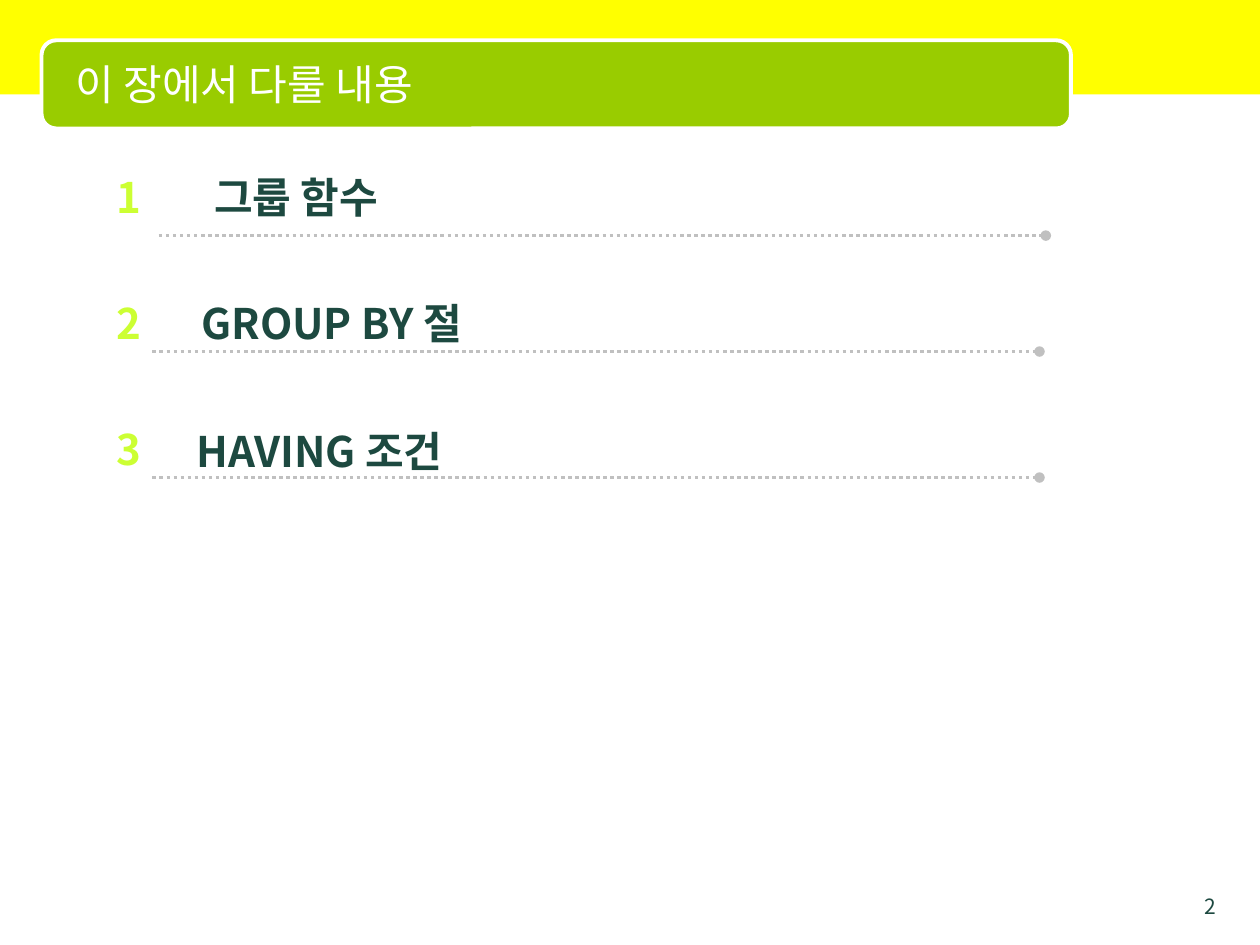
from dataclasses import dataclass
from lxml.etree import SubElement as Sub
from pptx import Presentation
from pptx.dml.color import RGBColor as Rgb
from pptx.enum.dml import MSO_LINE as Dash
from pptx.enum.shapes import MSO_CONNECTOR as Conn, MSO_SHAPE as Kind
from pptx.enum.text import MSO_ANCHOR as Anchor, PP_ALIGN as Align
from pptx.oxml.ns import qn
from pptx.util import Inches, Pt


@dataclass(frozen=True)
class Theme:
    """Colours, font and type sizes of the slide."""
    band: str = "FFFF00"
    bar: str = "99CC00"
    white: str = "FFFFFF"
    ink: str = "1D4940"
    lime: str = "CCFF33"
    rule: str = "C0C0C0"
    font: str = "Noto Sans CJK KR"
    head: int = 24
    foot: int = 12


LOOK = Theme()


def add_text(slide, box, text, color, size=LOOK.head, bold=False,
             align=Align.LEFT, anchor=Anchor.TOP):
    """Place one line of text in a box."""
    frame = slide.shapes.add_textbox(*map(Inches, box)).text_frame
    frame.word_wrap = True
    frame.vertical_anchor = anchor
    frame.text = text
    para = frame.paragraphs[0]
    para.alignment = align
    for run in para.runs:
        font = run.font
        font.name, font.size, font.bold = LOOK.font, Pt(size), bold
        font.color.rgb = Rgb.from_string(color)
        Sub(font._element, qn("a:ea"), typeface=LOOK.font)


def add_panel(slide, kind, box, fill):
    """Place a flat filled shape."""
    panel = slide.shapes.add_shape(kind, *map(Inches, box))
    panel.shadow.inherit = False
    panel.fill.solid()
    panel.fill.fore_color.rgb = Rgb.from_string(fill)
    panel.line.fill.background()
    return panel


def add_rule(slide, left, top, width):
    """Draw a dotted rule that ends in a dot."""
    ends = map(Inches, (left, top, left + width, top))
    rule = slide.shapes.add_connector(Conn.STRAIGHT, *ends)
    rule.line.color.rgb = Rgb.from_string(LOOK.rule)
    rule.line.width = Pt(2)
    rule.line.dash_style = Dash.ROUND_DOT
    props = rule._element.spPr
    Sub(props.find(qn("a:ln")), qn("a:tailEnd"), type="oval")
    Sub(props, qn("a:effectLst"))


def add_header(slide, left, top, width, height, title):
    """Build the band and the title bar that overlaps it."""
    add_panel(slide, Kind.RECTANGLE, (left, top, width, height), LOOK.band)
    bar = add_panel(slide, Kind.ROUNDED_RECTANGLE,
                    (left + 0.33, top + 0.32, 8.17, 0.7), LOOK.bar)
    bar.line.color.rgb = Rgb.from_string(LOOK.white)
    bar.line.width = Pt(2.25)
    add_text(slide, (left + 0.5, top + 0.35, 7.92, 0.62), title,
             LOOK.white, anchor=Anchor.MIDDLE)


def add_topic(slide, left, top, num, topic, shift, drop, inset, base):
    """Build a numbered topic over its rule."""
    add_text(slide, (left, top, 0.39, 0.5), str(num), LOOK.lime, bold=True)
    add_text(slide, (left + shift, top + drop, 6.25, 0.5), topic,
             LOOK.ink, bold=True)
    add_rule(slide, left + inset, top + base, 7.04)


def add_page(slide, left, top, width, height, num):
    """Place the page number."""
    add_text(slide, (left, top, width, height), str(num), LOOK.ink,
             LOOK.foot, align=Align.RIGHT)


def main():
    """Build and save the slide."""
    deck = Presentation()
    deck.slide_width, deck.slide_height = Inches(10), Inches(7.5)
    slide = deck.slides.add_slide(deck.slide_layouts[6])
    add_header(slide, 0, 0, 10, 0.75, "이 장에서 다룰 내용")
    topics = [("그룹 함수", 0.77, 0, 0.43, 0.56),
              ("GROUP BY 절", 0.67, 0, 0.38, 0.48),
              ("HAVING 조건", 0.63, 0.02, 0.38, 0.48)]
    for num, topic in enumerate(topics, 1):
        add_topic(slide, 0.83, 0.31 + num, num, *topic)
    add_page(slide, 9.25, 7.04, 0.5, 0.21, 2)
    deck.save("out.pptx")


main()
